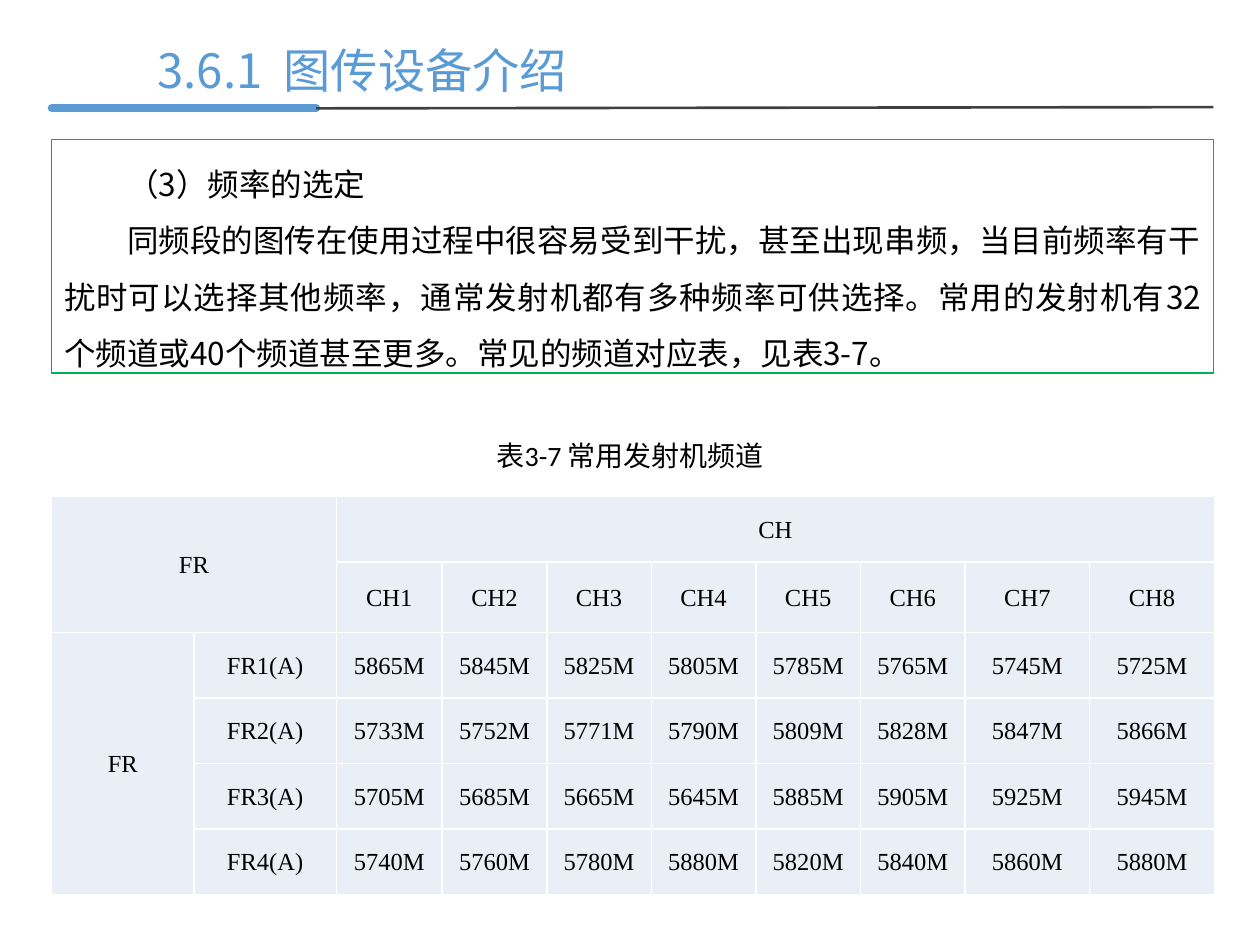
from lxml.etree import SubElement
from pptx import Presentation
from pptx.dml.color import RGBColor
from pptx.enum.shapes import MSO_CONNECTOR as Connector, MSO_SHAPE as Shape
from pptx.enum.text import MSO_ANCHOR as Anchor, PP_ALIGN as Align
from pptx.oxml.ns import qn
from pptx.util import Inches, Pt

TITLE = "3.6.1  图传设备介绍"
BODY = [
    "（3）频率的选定",
    "同频段的图传在使用过程中很容易受到干扰，甚至出现串频，当目前频率有干扰时可以选择其他频率，"
    "通常发射机都有多种频率可供选择。常用的发射机有32个频道或40个频道甚至更多。"
    "常见的频道对应表，见表3-7。",
]
CAPTION = "表3-7 常用发射机频道"
FREQUENCIES = {
    "FR1(A)": [5865, 5845, 5825, 5805, 5785, 5765, 5745, 5725],
    "FR2(A)": [5733, 5752, 5771, 5790, 5809, 5828, 5847, 5866],
    "FR3(A)": [5705, 5685, 5665, 5645, 5885, 5905, 5925, 5945],
    "FR4(A)": [5740, 5760, 5780, 5880, 5820, 5840, 5860, 5880],
}
COLUMN_WIDTHS = [1.13] * 2 + [0.84] + [0.83] * 5 + [0.99] * 2
ROW_HEIGHTS = [0.52, 0.56] + [0.52] * 4
MERGES = [((0, 0), (1, 1)), ((0, 2), (0, 9)), ((2, 0), (5, 0))]
COLORS = {"accent": "5B9BD5", "rule": "404040", "frame": "00B050",
          "text": "000000", "cell": "EAEFF7", "border": "FFFFFF"}
CJK = "Noto Sans CJK SC"
LEFT, WIDTH = 0.41, 9.22


def color(name):
    return RGBColor.from_string(COLORS[name])


def write(frame, *texts, size, font=CJK, fill="text", align=Align.LEFT,
          anchor=Anchor.TOP, indent=0, spacing=None):
    frame.word_wrap = True
    frame.vertical_anchor = anchor
    for index, text in enumerate(texts):
        paragraph = frame.add_paragraph() if index else frame.paragraphs[0]
        paragraph.alignment = align
        paragraph.line_spacing = spacing
        if indent:
            paragraph._p.get_or_add_pPr().set("indent", str(Inches(indent)))
        run = paragraph.add_run()
        run.text = text
        run.font.size = Pt(size)
        run.font.name = font
        run.font.color.rgb = color(fill)
        SubElement(run._r.get_or_add_rPr(), qn("a:ea"), typeface=CJK)


def add_rule(slide, start, end, fill, width, cap):
    rule = slide.shapes.add_connector(Connector.STRAIGHT, *map(Inches, start + end))
    rule.line.color.rgb = color(fill)
    rule.line.width = Pt(width)
    properties = rule._element.spPr
    properties.find(qn("a:ln")).set("cap", cap)
    SubElement(properties, qn("a:effectLst"))


def format_cell(cell, text):
    cell.margin_left = cell.margin_right = Inches(0.07)
    cell.margin_top, cell.margin_bottom = Inches(0.01), 0
    cell.vertical_anchor = Anchor.MIDDLE
    properties = cell._tc.get_or_add_tcPr()
    for side in ("lnL", "lnR", "lnT", "lnB"):
        border = SubElement(properties, qn(f"a:{side}"), w=str(Pt(1)))
        SubElement(SubElement(border, qn("a:solidFill")), qn("a:srgbClr"), val=COLORS["border"])
    cell.fill.solid()
    cell.fill.fore_color.rgb = color("cell")
    if text:
        write(cell.text_frame, text, size=14, font="Times New Roman",
              align=Align.CENTER, anchor=Anchor.MIDDLE)


def add_frequency_table(slide):
    rows = [["FR", "", "CH"] + [""] * 7,
            ["", ""] + [f"CH{number}" for number in range(1, 9)]]
    for index, (name, values) in enumerate(FREQUENCIES.items()):
        rows.append(["" if index else "FR", name] + [f"{value}M" for value in values])
    table = slide.shapes.add_table(
        len(rows), len(COLUMN_WIDTHS), Inches(LEFT), Inches(3.94),
        Inches(WIDTH), Inches(sum(ROW_HEIGHTS))).table
    for column, width in zip(table.columns, COLUMN_WIDTHS):
        column.width = Inches(width)
    for row, height, texts in zip(table.rows, ROW_HEIGHTS, rows):
        row.height = Inches(height)
        for cell, text in zip(row.cells, texts):
            format_cell(cell, text)
    for first, last in MERGES:
        table.cell(*first).merge(table.cell(*last))


def main():
    """Build the slide on choosing a video transmitter frequency."""
    presentation = Presentation()
    presentation.slide_width, presentation.slide_height = Inches(10), Inches(7.5)
    slide = presentation.slides.add_slide(presentation.slide_layouts[5])

    title = slide.shapes.title
    title.left, title.top, title.width, title.height = map(Inches, (1.15, 0.27, 8.32, 0.56))
    write(title.text_frame, TITLE, size=27, fill="accent", anchor=Anchor.MIDDLE)

    add_rule(slide, (LEFT, 0.86), (2.51, 0.86), "accent", 4.5, "rnd")
    add_rule(slide, (2.51, 0.86), (LEFT + WIDTH, 0.85), "rule", 1.5, "flat")

    box = slide.shapes.add_shape(Shape.RECTANGLE, *map(Inches, (LEFT, 1.11, WIDTH, 1.85)))
    box.shadow.inherit = False
    box.fill.background()
    box.line.color.rgb = color("frame")
    box.line.width = Pt(0.75)
    write(box.text_frame, *BODY, size=18, align=Align.JUSTIFY, indent=0.5, spacing=Pt(32.3))

    add_frequency_table(slide)
    caption = slide.shapes.add_textbox(*map(Inches, (3.64, 3.43, 2.72, 0.37)))
    write(caption.text_frame, CAPTION, size=16, font="Calibri", align=Align.CENTER)
    presentation.save("out.pptx")


if __name__ == "__main__":
    main()
